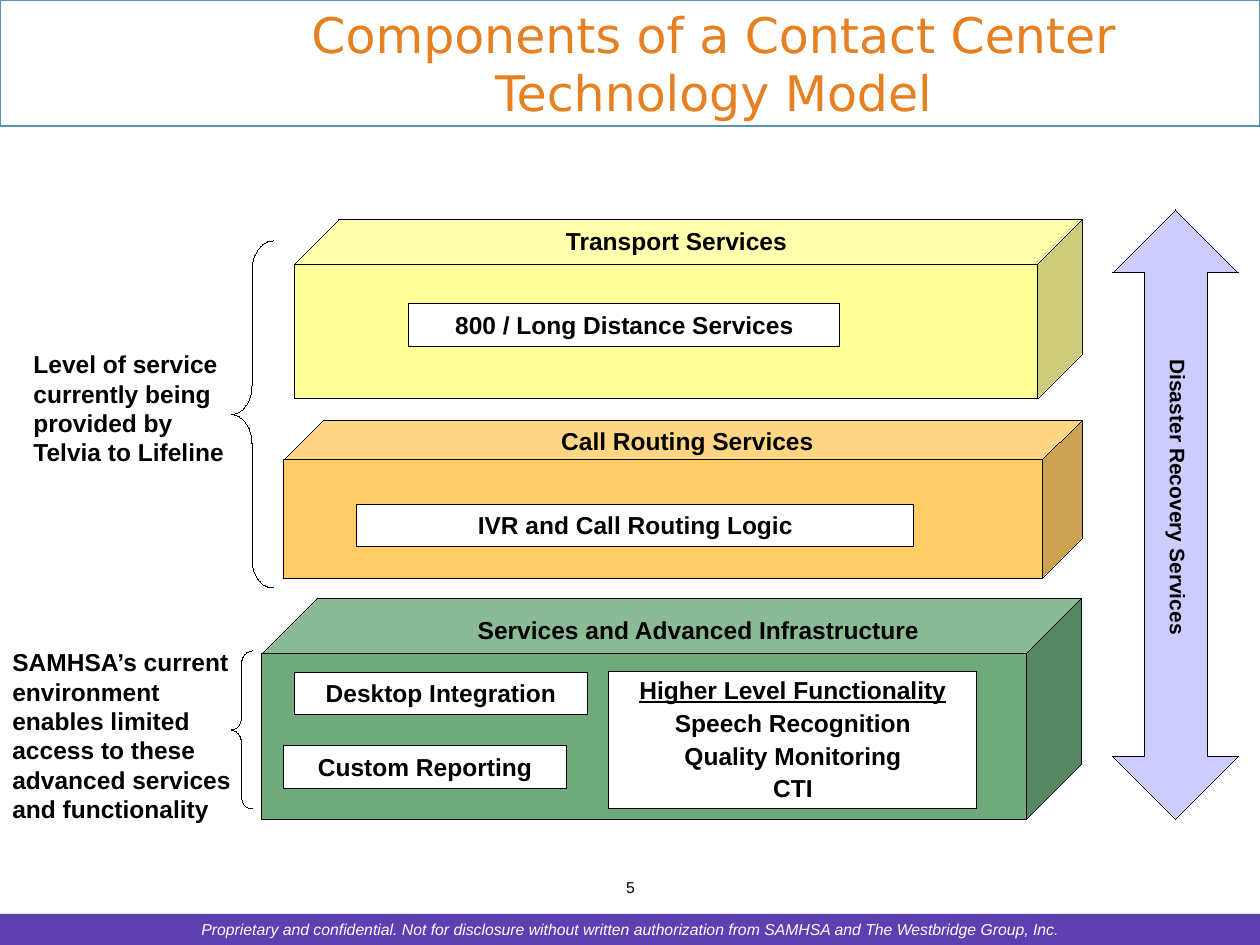
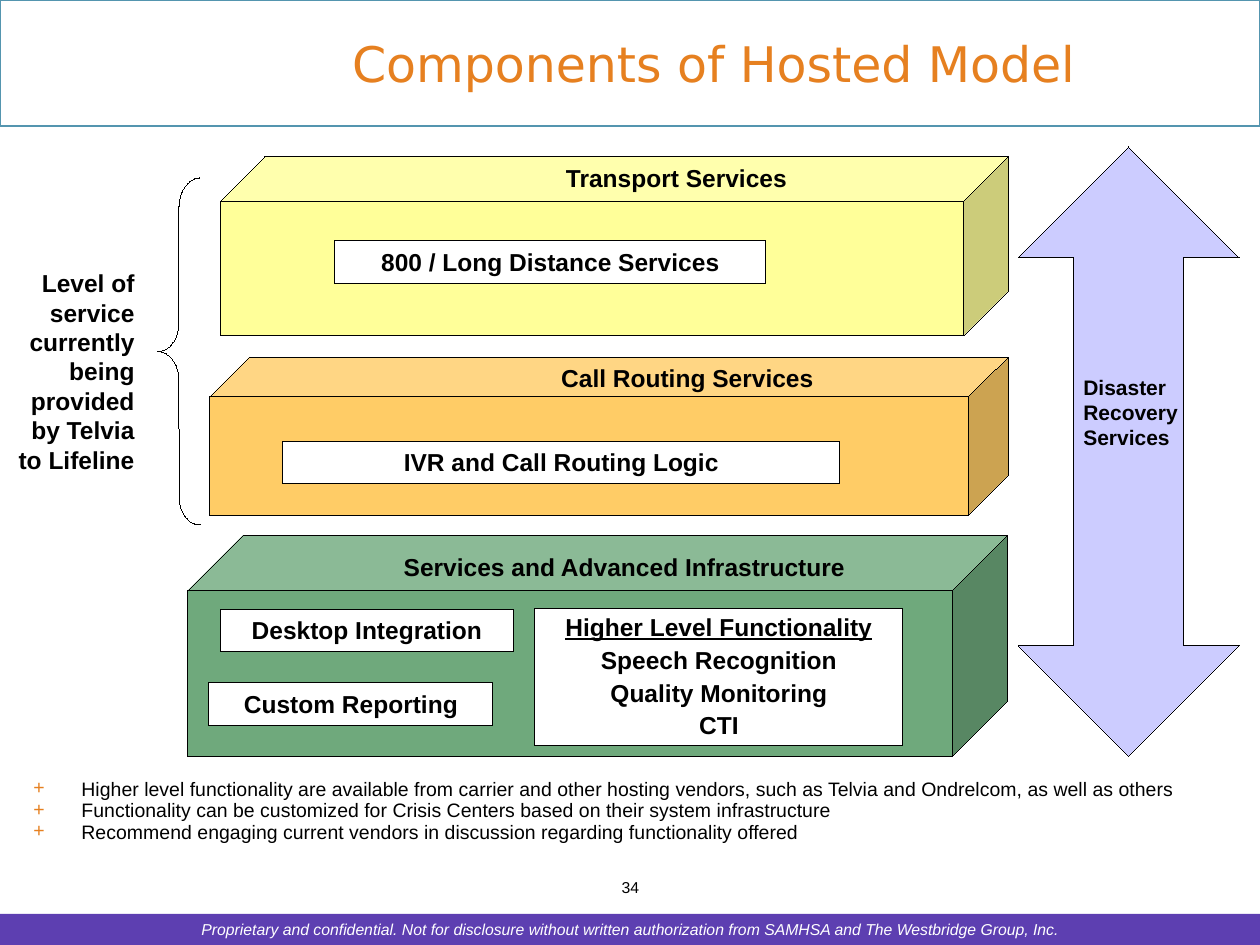
import pptx
import pptx.dml.color
import pptx.enum.shapes
import pptx.enum.text
import pptx.oxml.ns
import pptx.util
from lxml import etree

EMU_PER_PX = 914400 / 126
SLIDE_W, SLIDE_H = 1260, 945
BLACK, WHITE = "000000", "FFFFFF"
PURPLE, TEAL, ORANGE, LAVENDER = "5D3FB1", "5495AF", "E68020", "CCCCFF"
YELLOW, AMBER, GREEN = "FFFF99", "FFCC66", "6FA97C"
HAIRLINE = 0.01
BAR_H = 43
STACK_RIGHT = 1082
ARROW_HEAD = 121
SHAPE = pptx.enum.shapes.MSO_SHAPE
ANCHOR = pptx.enum.text.MSO_ANCHOR
ALIGN = pptx.enum.text.PP_ALIGN
FOOTER = ("Proprietary and confidential. Not for disclosure without written "
          "authorization from SAMHSA and The Westbridge Group, Inc.")
SERVICE_LEVEL = "Level of service currently being provided by Telvia to Lifeline"
RECOVERY = "Disaster Recovery Services"


def px(n):
    return pptx.util.Emu(round(n * EMU_PER_PX))


def color(hex_code):
    return pptx.dml.color.RGBColor.from_string(hex_code)


def set_bullet(p, char, hex_code, indent):
    ppr = p._p.get_or_add_pPr()
    ppr.set("marL", str(px(indent)))
    ppr.set("indent", str(-px(indent)))
    qn = pptx.oxml.ns.qn
    bu_clr = etree.SubElement(ppr, qn("a:buClr"))
    etree.SubElement(bu_clr, qn("a:srgbClr"), val=hex_code)
    etree.SubElement(ppr, qn("a:buFont"), typeface="Arial")
    etree.SubElement(ppr, qn("a:buChar"), char=char)


def write(tf, text, size=14, font="Arial", fill=BLACK, bold=False, italic=False,
          underline=False, align=ALIGN.LEFT, spacing=None, before=0, bullet=None):
    p = tf.paragraphs[0]
    if p.runs:
        p = tf.add_paragraph()
        p.space_before = pptx.util.Pt(before)
    p.alignment = align
    if spacing:
        p.line_spacing = spacing
    if bullet:
        set_bullet(p, bullet, ORANGE, 48)
    r = p.add_run()
    r.text = text
    r.font.size = pptx.util.Pt(size)
    r.font.name = font
    r.font.bold = bold
    r.font.italic = italic
    r.font.underline = underline
    r.font.color.rgb = color(fill)


def prepare_frame(sp, anchor=ANCHOR.TOP):
    tf = sp.text_frame
    tf.word_wrap = True
    tf.vertical_anchor = anchor
    return tf


def add_box(s, x, y, w, h, anchor=ANCHOR.TOP):
    sp = s.shapes.add_textbox(px(x), px(y), px(w), px(h))
    prepare_frame(sp, anchor)
    return sp


def add_label(s, x, y, w, h, text, **fmt):
    sp = add_box(s, x, y, w, h)
    write(sp.text_frame, text, **fmt)
    return sp


def add_preset(s, kind, x, y, w, h, fill=None, line=BLACK, weight=HAIRLINE, adjust=()):
    sp = s.shapes.add_shape(kind, px(x), px(y), px(w), px(h))
    sp.shadow.inherit = False
    for i, value in enumerate(adjust):
        sp.adjustments[i] = value
    if fill:
        sp.fill.solid()
        sp.fill.fore_color.rgb = color(fill)
    else:
        sp.fill.background()
    if line:
        sp.line.color.rgb = color(line)
        sp.line.width = pptx.util.Pt(weight)
    else:
        sp.line.fill.background()
    return sp


def add_bar(s, x, y, w, text):
    sp = add_preset(s, SHAPE.RECTANGLE, x, y, w, BAR_H, WHITE)
    write(prepare_frame(sp), text, bold=True, align=ALIGN.CENTER)


def add_brace(s, x, y, w, h, curve):
    add_preset(s, SHAPE.LEFT_BRACE, x, y, w, h, adjust=(curve, 0.5))


def add_recovery_arrow(s, x, y, w):
    add_preset(s, SHAPE.UP_DOWN_ARROW, x, y, w, 609, LAVENDER,
               adjust=(ARROW_HEAD / w, 0.5))


def add_functionality_panel(s, x, y):
    sp = add_preset(s, SHAPE.RECTANGLE, x, y, 368, 137, WHITE)
    tf = prepare_frame(sp)
    write(tf, "Higher Level Functionality", bold=True, underline=True,
          align=ALIGN.CENTER, spacing=0.9)
    for item in ("Speech Recognition", "Quality Monitoring", "CTI"):
        write(tf, item, bold=True, align=ALIGN.CENTER, spacing=0.8, before=5.2)


def add_service_stack(s, dx=0, dy=0):
    for y, w, h, fill in ((598, 820, 221, GREEN), (420, 798, 158, AMBER),
                          (220, 788, 179, YELLOW)):
        add_preset(s, SHAPE.CUBE, STACK_RIGHT - w + dx, y + dy, w, h, fill,
                   adjust=(0.25,))
    for x, y, text in ((262, 220, "Transport Services"),
                       (273, 420, "Call Routing Services"),
                       (284 + dx, 609, "Services and Advanced Infrastructure")):
        add_label(s, x, y + dy, 829, BAR_H, text, bold=True, align=ALIGN.CENTER)
    for x, y, w, text in ((409, 304, 431, "800 / Long Distance Services"),
                          (357, 504, 557, "IVR and Call Routing Logic"),
                          (294, 672, 294, "Desktop Integration"),
                          (283, 746, 284, "Custom Reporting")):
        add_bar(s, x + dx, y + dy, w, text)
    add_functionality_panel(s, 609 + dx, 672 + dy)


def add_framed_slide(prs, title, number):
    s = prs.slides.add_slide(prs.slide_layouts[6])
    add_preset(s, SHAPE.RECTANGLE, 0, 914, SLIDE_W, 31, PURPLE, line=None)
    add_label(s, 126, 914, 1008, 31, FOOTER, size=9, fill=WHITE, italic=True,
              align=ALIGN.CENTER)
    add_preset(s, SHAPE.RECTANGLE, 0, 0, SLIDE_W, 126, line=TEAL, weight=1.5)
    heading = add_box(s, 173, 0, 1081, 126, ANCHOR.MIDDLE)
    write(heading.text_frame, title, size=28, font="DejaVu Sans", fill=ORANGE,
          align=ALIGN.CENTER)
    add_label(s, 604, 872, 53, 32, str(number), size=9, align=ALIGN.CENTER)
    return s


def build_contact_center(prs):
    s = add_framed_slide(prs, "Components of a Contact Center Technology Model", 5)
    add_service_stack(s)
    add_brace(s, 231, 241, 42, 347, 0.69)
    add_label(s, 21, 343, 231, 131, SERVICE_LEVEL, bold=True)
    add_brace(s, 231, 651, 21, 158, 0.62)
    add_label(s, 0, 641, 252, 199, "SAMHSA’s current environment enables limited "
              "access to these advanced services and functionality", bold=True)
    add_recovery_arrow(s, 1113, 210, 126)
    label = add_label(s, 984, 522, 388, 38, RECOVERY, size=12, bold=True)
    label.rotation = 90


def build_hosted(prs):
    s = add_framed_slide(prs, "Components of Hosted Model", 34)
    add_service_stack(s, dx=-74, dy=-63)
    add_brace(s, 158, 178, 42, 347, 0.69)
    add_label(s, 0, 262, 147, 219, SERVICE_LEVEL, bold=True, align=ALIGN.RIGHT)
    add_recovery_arrow(s, 1018, 147, 221)
    add_label(s, 1071, 368, 126, 88, RECOVERY, size=12, bold=True)
    notes = add_box(s, 21, 777, 1218, 95)
    for text in (
            "Higher level functionality are available from carrier and other hosting "
            "vendors, such as Telvia and Ondrelcom, as well as others",
            "Functionality can be customized for Crisis Centers based on their system "
            "infrastructure",
            "Recommend engaging current vendors in discussion regarding functionality "
            "offered"):
        write(notes.text_frame, text, size=11.1, spacing=0.7, before=3, bullet="+")


def main():
    prs = pptx.Presentation()
    prs.slide_width, prs.slide_height = px(SLIDE_W), px(SLIDE_H)
    build_contact_center(prs)
    build_hosted(prs)
    prs.save("out.pptx")


if __name__ == "__main__":
    main()
